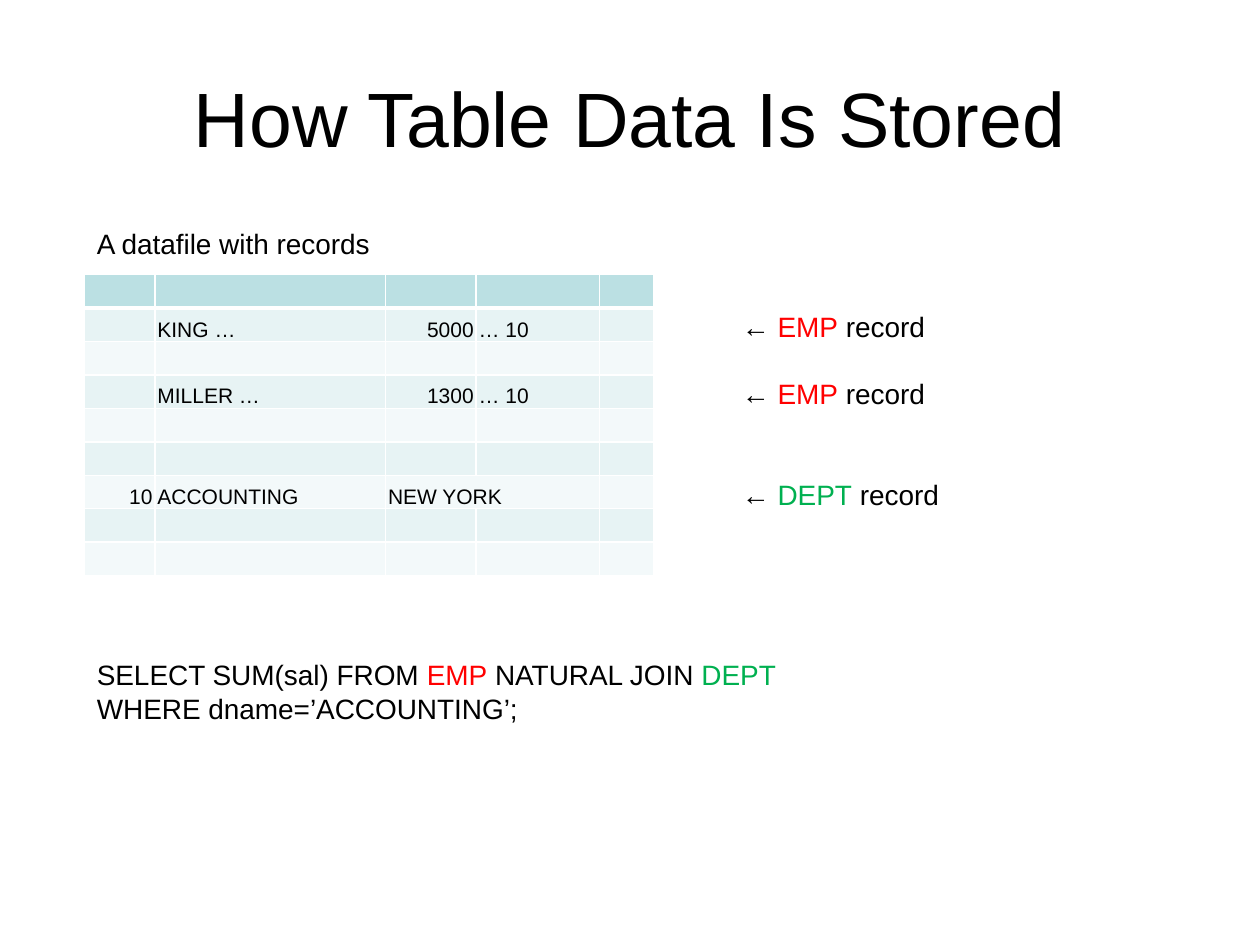
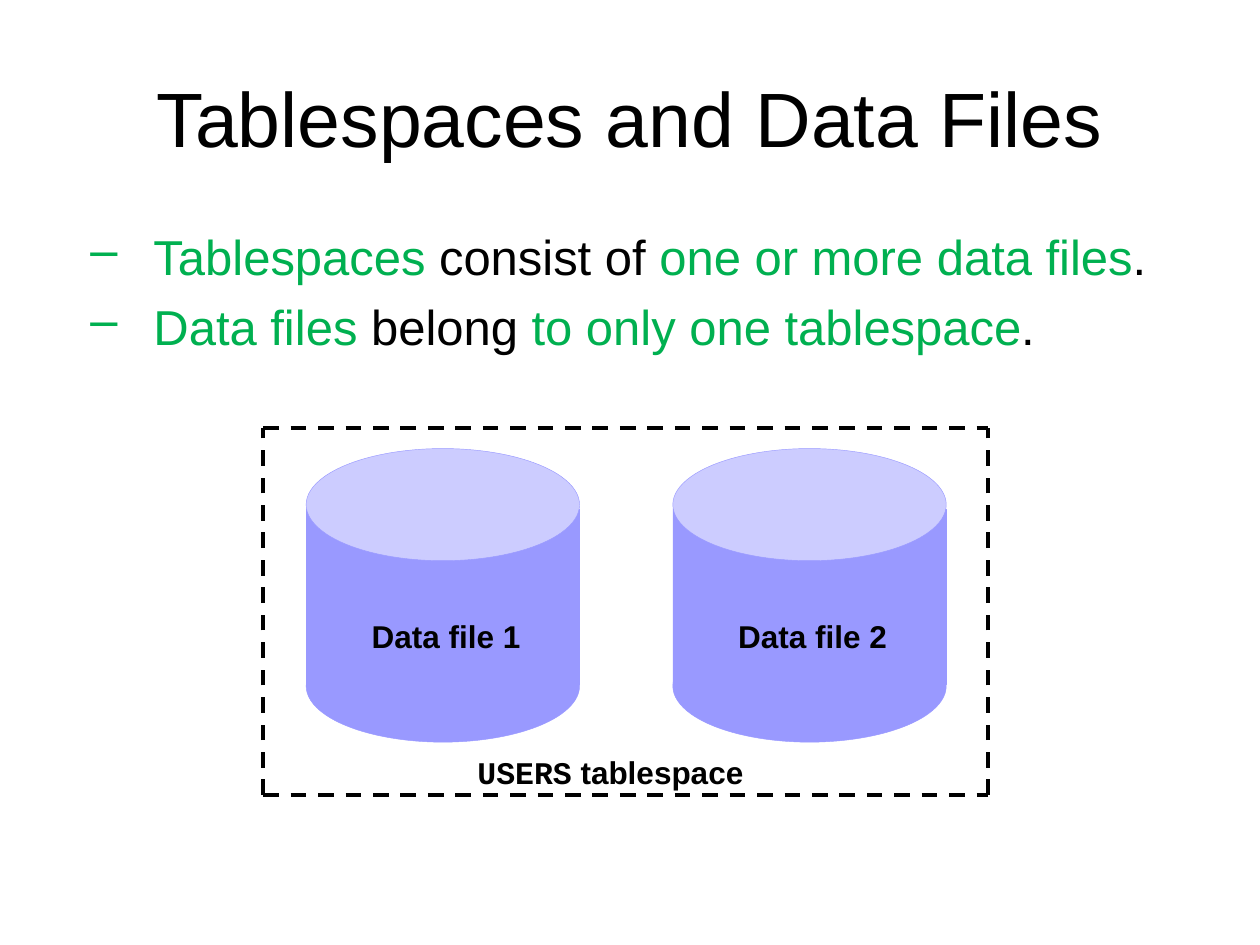
from lxml import etree
from pptx import Presentation
from pptx import util as u
from pptx.dml.color import RGBColor
from pptx.enum import dml, shapes, text
from pptx.oxml.ns import qn

BLACK, WHITE, RED, GREEN = "000000", "FFFFFF", "FF0000", "00B050"
HEADER, BAND_DARK, BAND_LIGHT = "BBE0E3", "E7F3F4", "F3F9FA"
CYLINDER, CYLINDER_TOP = "9999FF", "CCCCFF"
LEFT, CENTER, RIGHT = text.PP_ALIGN.LEFT, text.PP_ALIGN.CENTER, text.PP_ALIGN.RIGHT
TOP, MIDDLE, BOTTOM = text.MSO_ANCHOR.TOP, text.MSO_ANCHOR.MIDDLE, text.MSO_ANCHOR.BOTTOM
LINE_16 = u.Pt(19.2)


def color(value):
    return RGBColor.from_string(value)


def inches(*values):
    return [u.Inches(v) for v in values]


def set_margins(target, margins):
    (target.margin_left, target.margin_top,
     target.margin_right, target.margin_bottom) = inches(*margins)


class Deck:
    font = "Arial"

    def __init__(self):
        self.prs = Presentation()
        self.prs.slide_width, self.prs.slide_height = inches(10, 7.5)

    def slide(self, title):
        self.s = self.prs.slides.add_slide(self.prs.slide_layouts[6])
        self.text((0.5, 0.3, 9, 1.25), [title], 44, align=CENTER, anchor=MIDDLE)

    def paragraph(self, p, runs, size, align=LEFT, bold=False):
        """Fill p with runs: a string, or a list of strings and (text, colour, font)."""
        p.alignment = align
        p.font.name, p.font.size, p.font.bold = self.font, u.Pt(size), bold
        p.font.color.rgb = color(BLACK)
        for run in [runs] if isinstance(runs, str) else runs:
            words, ink, font = run if isinstance(run, tuple) else (run, BLACK, self.font)
            r = p.add_run()
            r.text = words
            r.font.color.rgb = color(ink)
            if font != self.font:
                r.font.name = font

    def text(self, box, lines, size, align=LEFT, anchor=TOP, bold=False,
             spacing=None, margins=(0.1, 0.05, 0.1, 0.05)):
        tf = self.s.shapes.add_textbox(*inches(*box)).text_frame
        tf.word_wrap, tf.vertical_anchor = True, anchor
        set_margins(tf, margins)
        for i, runs in enumerate(lines):
            p = tf.add_paragraph() if i else tf.paragraphs[0]
            self.paragraph(p, runs, size, align, bold)
            if spacing:
                p.line_spacing = spacing
        return tf.paragraphs

    def bullets(self, box, lines, size):
        for p in self.text(box, lines, size):
            p.space_before = u.Pt(6)
            pPr = p._p.get_or_add_pPr()
            pPr.set("marL", str(u.Inches(0.62)))
            pPr.set("indent", str(u.Inches(-0.5)))
            bullet = etree.Element(qn("a:buChar"), char="–")
            pPr.find(qn("a:defRPr")).addprevious(bullet)

    def label(self, box, runs):
        self.text(box, [runs], 18, CENTER, bold=True, spacing=0.85,
                  margins=(0.06, 0.03, 0.06, 0.03))

    def shape(self, kind, box, fill):
        sp = self.s.shapes.add_shape(kind, *inches(*box))
        sp.shadow.inherit = False
        sp.fill.solid()
        sp.fill.fore_color.rgb = color(fill)
        sp.line.color.rgb = color(CYLINDER)
        sp.line.width = u.Pt(0.25)

    def cylinder(self, x):
        self.shape(shapes.MSO_SHAPE.RECTANGLE, (x, 4.04, 2.17, 1.39), CYLINDER)
        for y, fill in ((3.56, CYLINDER_TOP), (5, CYLINDER)):
            self.shape(shapes.MSO_SHAPE.OVAL, (x, y, 2.17, 0.89), fill)

    def dashed_line(self, *ends):
        c = self.s.shapes.add_connector(shapes.MSO_CONNECTOR.STRAIGHT, *inches(*ends))
        c.line.color.rgb = color(BLACK)
        c.line.width = u.Pt(2.25)
        c.line.dash_style = dml.MSO_LINE.DASH
        etree.SubElement(c._element.spPr, qn("a:effectLst"))

    def cell_borders(self, cell, bottom, top):
        tcPr = cell._tc.get_or_add_tcPr()
        for side, width in (("L", 1), ("R", 1), ("T", top), ("B", bottom)):
            ln = etree.SubElement(tcPr, qn(f"a:ln{side}"), w=str(u.Pt(width)))
            fill = etree.SubElement(ln, qn("a:solidFill"))
            etree.SubElement(fill, qn("a:srgbClr"), val=WHITE)

    def table(self, box, widths, row_count, entries):
        """Banded table; entries maps (row, column) to (text, alignment)."""
        tbl = self.s.shapes.add_table(row_count, len(widths), *inches(*box)).table
        for column, width in zip(tbl.columns, widths):
            column.width = u.Inches(width)
        for i in range(row_count):
            tbl.rows[i].height = u.Inches(box[3] / row_count)
            fill = (BAND_DARK if i % 2 else BAND_LIGHT) if i else HEADER
            for j in range(len(widths)):
                cell = tbl.cell(i, j)
                self.cell_borders(cell, 1 if i else 3, 3 if i == 1 else 1)
                cell.fill.solid()
                cell.fill.fore_color.rgb = color(fill)
                cell.vertical_anchor = BOTTOM
                set_margins(cell, (0.02, 0.02, 0.02, 0))
                p = cell.text_frame.paragraphs[0]
                if (i, j) in entries:
                    words, align = entries[i, j]
                    self.paragraph(p, words, 12, align)
                else:
                    p._p.get_or_add_endParaRPr().set("sz", "1200")
        return tbl


def table_data_slide(d):
    d.slide("How Table Data Is Stored")
    entries = {(6, 0): ("10", RIGHT), (6, 1): ("ACCOUNTING", LEFT), (6, 2): ("NEW YORK", LEFT)}
    for row, name, salary in ((1, "KING …", "5000"), (3, "MILLER …", "1300")):
        entries.update({(row, 1): (name, LEFT), (row, 2): (salary, RIGHT),
                        (row, 3): ("… 10", LEFT)})
    tbl = d.table((0.67, 2.18, 4.53, 2.39), (0.56, 1.83, 0.72, 0.98, 0.43), 9, entries)
    tbl.cell(6, 2).merge(tbl.cell(6, 3))

    emp, dept = ("EMP", RED, d.font), ("DEPT", GREEN, d.font)
    d.text((0.67, 1.67, 2.6, 0.53), ["A datafile with records"], 16, anchor=MIDDLE)
    records = d.text((5.79, 2.41, 2.83, 2.05),
                     [["← ", name, " record"] for name in (emp, emp, dept)],
                     16, spacing=LINE_16)
    for p, skipped_rows in zip(records, (0, 1, 2)):
        p.space_before = skipped_rows * LINE_16
    d.text((0.67, 5.09, 7.4, 0.79),
           [["SELECT SUM(sal) FROM ", emp, " NATURAL JOIN ", dept],
            "WHERE dname=’ACCOUNTING’;"], 16, anchor=MIDDLE, spacing=LINE_16)


def tablespaces_slide(d):
    d.slide("Tablespaces and Data Files")
    facts = (("Tablespaces", " consist of ", "one or more data files"),
             ("Data files ", "belong ", "to only one tablespace"))
    d.bullets((0.5, 1.75, 9, 4.99),
              [[(subject, GREEN, d.font), verb, (rest, GREEN, d.font), "."]
               for subject, verb, rest in facts], 28)

    file_lefts = (2.43, 5.34)
    for x in file_lefts:
        d.cylinder(x)
    left, top, right, bottom = 2.09, 3.4, 7.84, 6.31
    for y in (bottom, top):
        d.dashed_line(left, y, right, y)
    for x in (left, right):
        d.dashed_line(x, bottom, x, top)
    d.label((3.43, 5.99, 2.83, 0.32), [("USERS", BLACK, "Courier New"), " tablespace"])
    for number, x in enumerate(file_lefts, 1):
        d.label((x + 0.31, 4.91, 1.6, 0.32), f"Data file {number}")


def main():
    d = Deck()
    table_data_slide(d)
    tablespaces_slide(d)
    d.prs.save("out.pptx")


if __name__ == "__main__":
    main()
